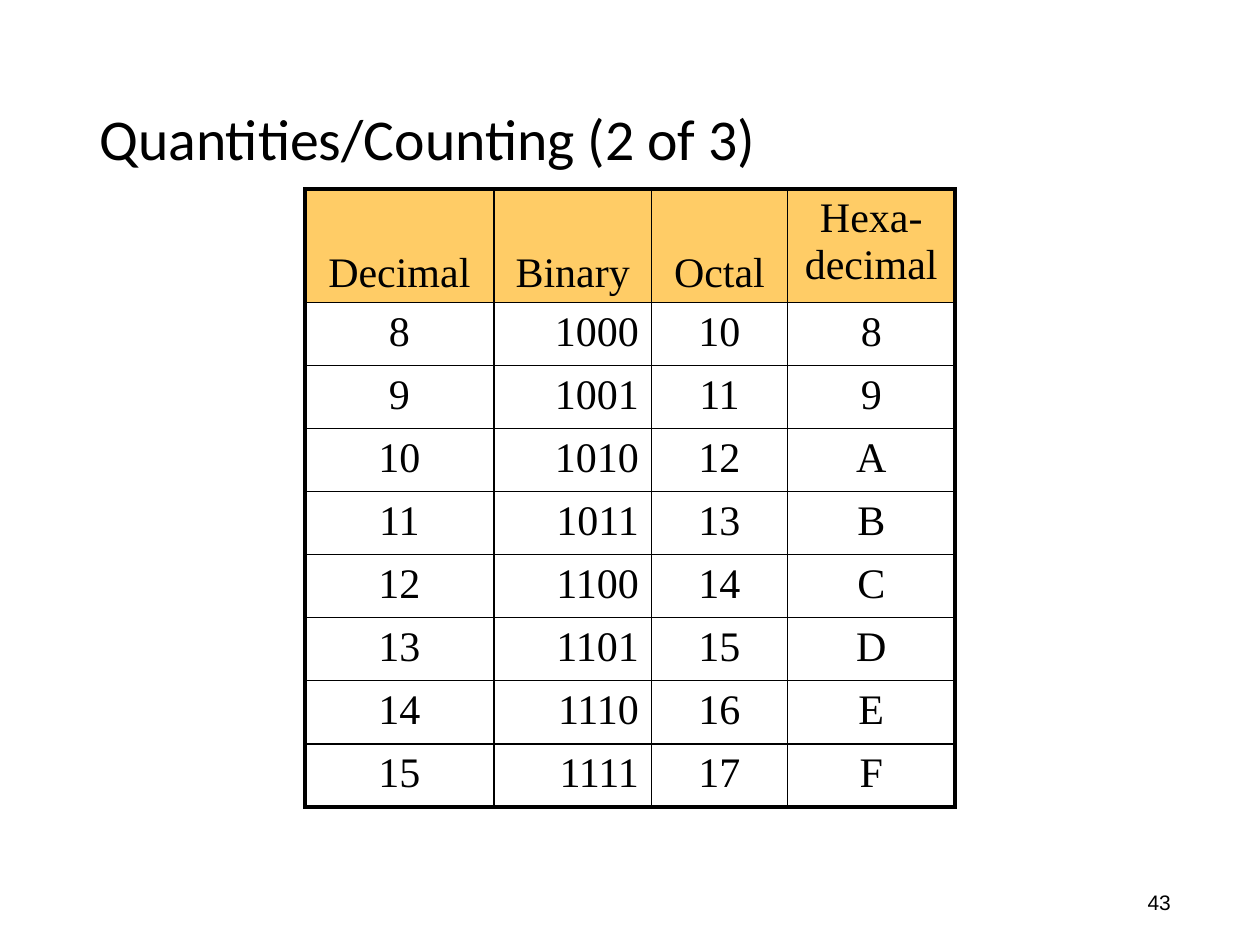
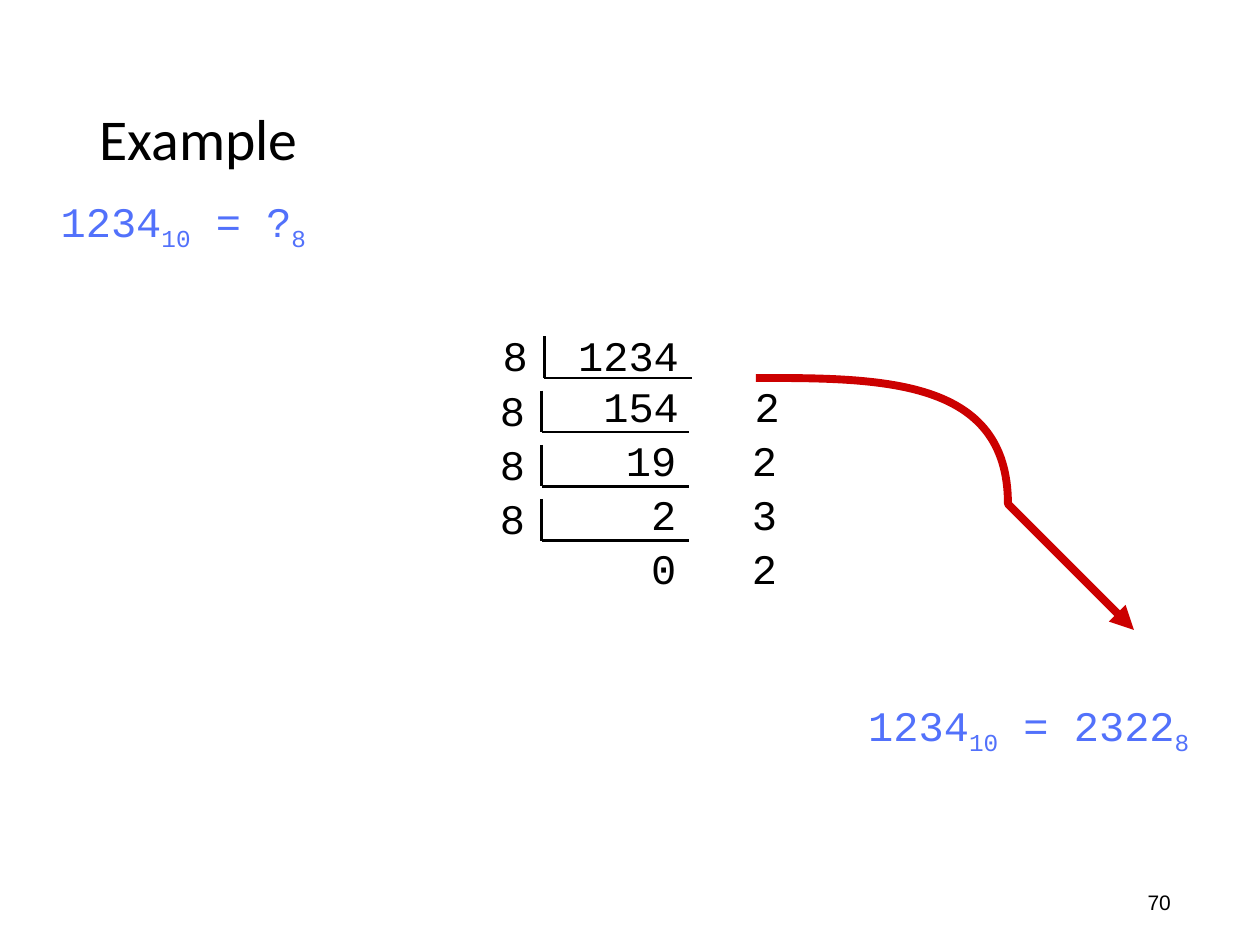
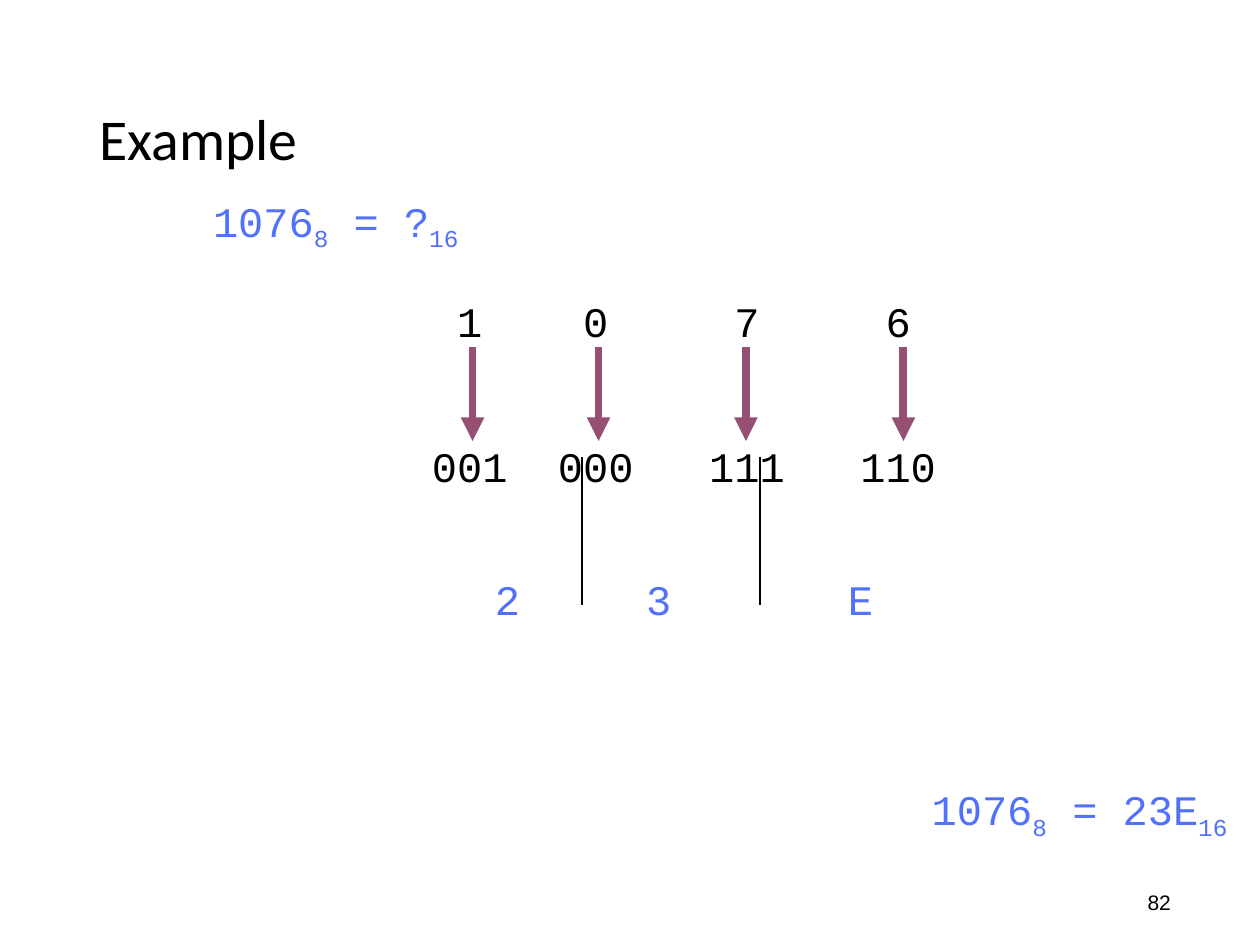
from collections import namedtuple
from dataclasses import dataclass

from lxml import etree
from pptx import Presentation
from pptx import util as u
from pptx.dml.color import RGBColor
from pptx.enum import shapes, text
from pptx.oxml import ns

Box = namedtuple("Box", "left top width height")
Style = namedtuple("Style", "name size color")
LEFT, CENTER, RIGHT = text.PP_ALIGN.LEFT, text.PP_ALIGN.CENTER, text.PP_ALIGN.RIGHT
TOP, MIDDLE, BOTTOM = (text.MSO_ANCHOR.TOP, text.MSO_ANCHOR.MIDDLE,
                       text.MSO_ANCHOR.BOTTOM)


@dataclass(frozen=True)
class Theme:
    """Colours, type styles and line widths shared by the slides."""
    ink: str = "000000"
    header: str = "FFCC66"
    curve: str = "CC0000"
    arrow: str = "954F72"
    title: Style = Style("Calibri", 33, "000000")
    number: Style = Style("Arial", 12, "000000")
    table: Style = Style("Times New Roman", 24, "000000")
    code: Style = Style("Courier New", 24, "000000")
    equation: Style = Style("Courier New", 24, "5271FB")
    thin: float = 1
    rule: float = 1.5
    frame: float = 2.25
    thick: float = 4.5


THEME = Theme()


def add_element(parent, tag, **values):
    """Append a drawing element with the given attributes."""
    return etree.SubElement(parent, ns.qn(tag), **values)


def set_values(target, **values):
    """Set each named format value on the target."""
    for name, value in values.items():
        setattr(target, name, value)


def add_span(para, words, style):
    """Add a run of words in a type style and return it."""
    span = para.add_run()
    span.text = words
    set_values(span.font, name=style.name, size=u.Pt(style.size))
    span.font.color.rgb = RGBColor.from_string(style.color)
    return span


def add_box(page, box, anchor=TOP):
    """Add a wrapping text box and return its text frame."""
    frame = page.shapes.add_textbox(*map(u.Inches, box)).text_frame
    set_values(frame, word_wrap=True, vertical_anchor=anchor)
    return frame


def add_tabs(para, stops, align):
    """Give a paragraph tab stops at the given inches."""
    tabs = add_element(para._p.get_or_add_pPr(), "a:tabLst")
    for stop in stops:
        add_element(tabs, "a:tab", pos=str(u.Inches(stop)), algn=align)


def add_rows(frame, rows, stops, align, style, gap=0):
    """Write tabbed rows, with a gap in points between them."""
    for index, row in enumerate(rows):
        para = frame.add_paragraph() if index else frame.paragraphs[0]
        if index:
            para.space_before = u.Pt(gap)
        add_tabs(para, stops, align)
        add_span(para, row, style)


def style_line(shape, color, width, arrow=False):
    """Colour a line, set its width and optionally add an arrowhead."""
    shape.line.color.rgb = RGBColor.from_string(color)
    shape.line.width = u.Pt(width)
    if arrow:
        add_element(shape.line._get_or_add_ln(), "a:tailEnd", type="triangle")


def add_line(page, start, end, color, width, arrow=False):
    """Draw a straight connector without a shadow."""
    line = page.shapes.add_connector(
        shapes.MSO_CONNECTOR.STRAIGHT, *map(u.Inches, (*start, *end)))
    style_line(line, color, width, arrow)
    add_element(line._element.spPr, "a:effectLst")


def add_page(deck, title, number):
    """Add a blank slide with its title and page number."""
    page = deck.slides.add_slide(deck.slide_layouts[6])
    frame = add_box(page, Box(9.01, 7.01, 0.4, 0.3))
    frame.word_wrap = False
    add_span(frame.paragraphs[0], str(number), THEME.number)
    para = add_box(page, Box(0.69, 0.4, 8.62, 1.45), MIDDLE).paragraphs[0]
    para.line_spacing = 0.9
    add_span(para, title, THEME.title)
    return page


def add_equation(page, box, terms, align=CENTER):
    """Write number terms, each followed by its base as a subscript."""
    para = add_box(page, box).paragraphs[0]
    para.alignment = align
    for number, base in terms:
        add_span(para, number, THEME.equation)
        span = add_span(para, base, THEME.equation)
        span._r.get_or_add_rPr().set("baseline", "-25000")


def border_cell(cell, widths):
    """Put solid borders on a cell: left, right, top and bottom."""
    properties = cell._tc.get_or_add_tcPr()
    for index, (side, width) in enumerate(zip("LRTB", widths)):
        line = etree.Element(ns.qn(f"a:ln{side}"), w=str(u.Pt(width)))
        add_element(add_element(line, "a:solidFill"), "a:srgbClr", val=THEME.ink)
        properties.insert(index, line)


def add_number_table(page, box, header, rows, widths, header_height):
    """Build the counting table with a heavy outer frame."""
    grid = [header, *rows]
    last_row, last_column = len(rows), len(header) - 1
    table = page.shapes.add_table(
        len(grid), len(header), *map(u.Inches, box)).table
    set_values(table, first_row=False, horz_banding=False)
    for column, width in zip(table.columns, widths):
        column.width = u.Inches(width)
    row_height = (box.height - header_height) / last_row
    for r, values in enumerate(grid):
        table.rows[r].height = u.Inches(row_height if r else header_height)
        for c, value in enumerate(values):
            cell = table.cell(r, c)
            para = cell.text_frame.paragraphs[0]
            para.alignment = RIGHT if r and c == 1 else CENTER
            for index, line in enumerate(value.split("\n")):
                if index:
                    para.add_line_break()
                add_span(para, line, THEME.table)
            cell.fill.background()
            if r == 0:
                cell.fill.solid()
                cell.fill.fore_color.rgb = RGBColor.from_string(THEME.header)
                cell.vertical_anchor = TOP if "\n" in value else BOTTOM
            outer = (c == 0, c == last_column, r == 0, r == last_row)
            border_cell(cell, [THEME.frame if edge else THEME.thin
                               for edge in outer])


def add_division_step(page, box, rows):
    """Write a division step and its bracket."""
    frame = add_box(page, box)
    frame.margin_right = 0
    add_rows(frame, rows, (1.4, 2.2), "r", THEME.code)
    corner = (box.left + 0.43, box.top + 0.43)
    for start, end in (((corner[0], box.top + 0.1), corner),
                       (corner, (corner[0] + 1.17, corner[1]))):
        add_line(page, start, end, THEME.ink, THEME.rule)


def add_curve(page, start, controls):
    """Draw a curved arrow from groups of three Bezier points."""
    builder = page.shapes.build_freeform(*start, scale=u.Inches(1))
    builder.add_line_segments(controls, close=False)
    curve = builder.convert_to_shape()
    curve.shadow.inherit = False
    curve.fill.background()
    style_line(curve, THEME.curve, THEME.thick, arrow=True)
    segments = list(curve._element.iter(ns.qn("a:lnTo")))
    outline = segments[0].getparent()
    for first in range(0, len(segments), 3):
        bezier = add_element(outline, "a:cubicBezTo")
        for segment in segments[first:first + 3]:
            bezier.append(segment[0])
            outline.remove(segment)


def add_digit_groups(page, box, digits, groups, centers):
    """Write octal digits above their bit groups, joined by arrows."""
    rows = ["".join(f"\t{value}" for value in row) for row in (digits, groups)]
    add_rows(add_box(page, box), rows, centers, "ctr", THEME.code, gap=54)
    for offset in (0.42, 1.42, 2.59, 3.84):
        x = box.left + offset
        add_line(page, (x, box.top + 0.45), (x, box.top + 1.2),
                 THEME.arrow, THEME.thick, arrow=True)


def add_hex_digits(page, box, digits):
    """Write the hexadecimal digits and the dividers between them."""
    add_rows(add_box(page, box), ["\t".join(digits)], (1.3, 2.9), "ctr",
             THEME.equation)
    for offset in (0.79, 2.2):
        x = box.left + offset
        add_line(page, (x, box.top - 0.87), (x, box.top + 0.3),
                 THEME.ink, THEME.thin)


def build_counting(deck):
    """Build the slide that counts from 8 to 15 in four bases."""
    page = add_page(deck, "Quantities/Counting (2 of 3)", 43)
    rows = [[str(n), f"{n:b}", f"{n:o}", f"{n:X}"] for n in range(8, 16)]
    add_number_table(page, Box(2.42, 1.5, 5.16, 4.88),
                     ["Decimal", "Binary", "Octal", "Hexa-\ndecimal"], rows,
                     (1.5, 1.25, 1.08, 1.33), 0.89)


def build_division(deck):
    """Build the decimal to octal slide."""
    page = add_page(deck, "Example", 70)
    add_equation(page, Box(0.33, 1.5, 2.25, 0.5), [("1234", "10"), (" = ?", "8")])
    number = 1234
    for index in range(4):
        quotient, remainder = divmod(number, 8)
        rows = ["8" if index else f"8\t{number}", f"\t{quotient}\t{remainder}"]
        box = Box(3.87 if index else 3.89, 2.57 + 0.43 * index, 2.4, 0.9)
        add_division_step(page, box, rows)
        number = quotient
    add_equation(page, Box(6.58, 5.5, 3.17, 0.5),
                 [("1234", "10"), (" = 2322", "8")])
    add_curve(page, (6.42, 3.17),
              [(6.68, 3.25), (7.57, 3.3), (8.03, 3.67),
               (8.48, 4.05), (8.93, 5.05), (9.17, 5.42)])


def build_regrouping(deck):
    """Build the octal to hexadecimal slide."""
    page = add_page(deck, "Example", 82)
    add_equation(page, Box(0.33, 1.5, 4.67, 0.5), [("1076", "8"), (" = ?", "16")])
    digits = "1076"
    add_digit_groups(page, Box(3.33, 2.3, 4.67, 2.5), digits,
                     [f"{int(digit):03b}" for digit in digits],
                     (0.3, 1.3, 2.5, 3.7))
    add_hex_digits(page, Box(3.83, 4.5, 3.58, 0.5), "23E")
    add_equation(page, Box(5.17, 6.17, 4.67, 0.5),
                 [("1076", "8"), (" = 23E", "16")], RIGHT)


def main():
    """Build and save the deck."""
    deck = Presentation()
    set_values(deck, slide_width=u.Inches(10), slide_height=u.Inches(7.5))
    for build in (build_counting, build_division, build_regrouping):
        build(deck)
    deck.save("out.pptx")


if __name__ == "__main__":
    main()
